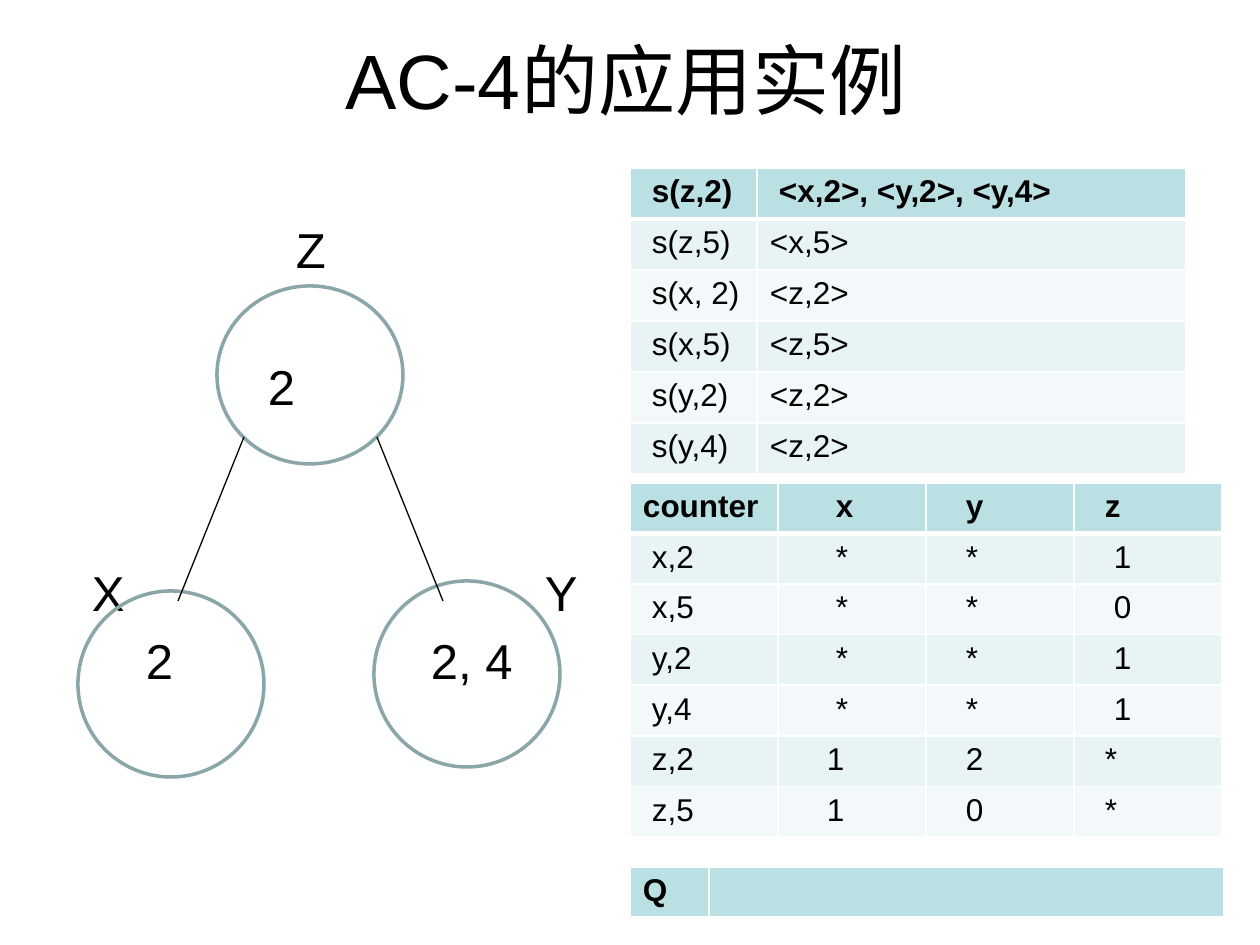
from dataclasses import dataclass

from pptx import Presentation
from pptx.dml.color import RGBColor
from pptx.enum.shapes import MSO_CONNECTOR, MSO_SHAPE
from pptx.enum.text import MSO_ANCHOR, PP_ALIGN
from pptx.oxml.ns import qn
from pptx.util import Emu, Pt
from lxml.etree import SubElement

EMU_PER_PX = 914400 / 126


@dataclass(frozen=True)
class Theme:
    font: str = "Arial"
    title_size: int = 44
    label_size: int = 28
    cell_size: int = 18
    text: str = "000000"
    circle: str = "8AA6A8"
    border: str = "FFFFFF"
    header: str = "BBE0E3"
    bands: tuple[str, str] = ("E7F3F4", "F3F9FA")


@dataclass(frozen=True)
class Label:
    text: str
    x: int
    y: int
    w: int = 100
    h: int = 56


@dataclass(frozen=True)
class Node:
    x: int
    y: int
    w: int
    h: int


@dataclass(frozen=True)
class Edge:
    x1: int
    y1: int
    x2: int
    y2: int


@dataclass(frozen=True)
class Row:
    cells: tuple[str, ...]
    indents: tuple[int, ...]  # in word-space widths


@dataclass(frozen=True)
class Grid:
    x: int
    y: int
    h: int
    cols: tuple[int, ...]
    rows: tuple[Row, ...]


THEME = Theme()
CELL_MARGIN = 13
INDENT_STEP = 9

TITLE = Label("AC-4的应用实例", 59, 0, 1134, 158)
NODES = (Node(217, 286, 186, 178), Node(78, 591, 186, 186), Node(374, 581, 186, 186))
EDGES = (Edge(244, 437, 178, 601), Edge(377, 437, 443, 601))
LABELS = (
    Label("Z", 296, 219), Label("2", 268, 356),
    Label("X", 92, 562), Label("Y", 545, 562),
    Label("2", 146, 630), Label("2, 4", 431, 630),
)

SUPPORTS = (("s(z,5)", "<x,5>"), ("s(x, 2)", "<z,2>"), ("s(x,5)", "<z,5>"),
            ("s(y,2)", "<z,2>"), ("s(y,4)", "<z,2>"))
Z_COUNTS = (("x,2", "1"), ("x,5", "0"), ("y,2", "1"), ("y,4", "1"))
Y_COUNTS = (("z,2", "2"), ("z,5", "0"))
GRIDS = (
    Grid(630, 168, 306, (127, 429), (
        Row(("s(z,2)", "<x,2>, <y,2>, <y,4>"), (1, 1)),
        *(Row(pair, (1, 0)) for pair in SUPPORTS),
    )),
    Grid(630, 483, 354, (148,) * 4, (
        Row(("counter", "x", "y", "z"), (0, 5, 3, 2)),
        *(Row((name, "*", "*", z), (1, 5, 3, 3)) for name, z in Z_COUNTS),
        *(Row((name, "1", y, "*"), (1, 4, 3, 2)) for name, y in Y_COUNTS),
    )),
    Grid(630, 867, 51, (79, 515), (Row(("Q", ""), (0, 0)),)),
)


def px(n: float) -> Emu:
    return Emu(round(n * EMU_PER_PX))


def rgb(color: str) -> RGBColor:
    return RGBColor.from_string(color)


def style_text(tf, size: int, bold: bool = False) -> None:
    for p in tf.paragraphs:
        p.font.size = Pt(size)
        for r in p.runs:
            r.font.name = THEME.font
            r.font.size = Pt(size)
            r.font.bold = bold
            r.font.color.rgb = rgb(THEME.text)


def add_label(s, label: Label, size: int):
    tf = s.shapes.add_textbox(px(label.x), px(label.y), px(label.w), px(label.h)).text_frame
    tf.word_wrap = True
    tf.margin_left = tf.margin_right = tf.margin_top = tf.margin_bottom = 0
    tf.text = label.text
    style_text(tf, size)
    return tf


def add_node(s, node: Node) -> None:
    sp = s.shapes.add_shape(MSO_SHAPE.OVAL, px(node.x), px(node.y), px(node.w), px(node.h))
    sp.shadow.inherit = False
    sp.fill.background()
    sp.line.color.rgb = rgb(THEME.circle)
    sp.line.width = Pt(2)


def add_edge(s, edge: Edge) -> None:
    line = s.shapes.add_connector(MSO_CONNECTOR.STRAIGHT, px(edge.x1), px(edge.y1),
                                  px(edge.x2), px(edge.y2))
    line.line.color.rgb = rgb(THEME.text)
    line.line.width = Pt(0.75)
    SubElement(line._element.spPr, qn("a:effectLst"))


def add_borders(cell, top: int, bottom: int) -> None:
    """Give a cell its borders, which must come before its fill."""
    tc_pr = cell._tc.get_or_add_tcPr()
    for tag, width in (("lnL", 1), ("lnR", 1), ("lnT", top), ("lnB", bottom)):
        ln = SubElement(tc_pr, qn(f"a:{tag}"), w=str(Pt(width)))
        SubElement(SubElement(ln, qn("a:solidFill")), qn("a:srgbClr"), val=THEME.border)


def add_grid(s, grid: Grid) -> None:
    table = s.shapes.add_table(len(grid.rows), len(grid.cols), px(grid.x), px(grid.y),
                               px(sum(grid.cols)), px(grid.h)).table
    for column, width in zip(table.columns, grid.cols):
        column.width = px(width)
    for i, row in enumerate(grid.rows):
        table.rows[i].height = px(grid.h / len(grid.rows))
        is_header = i == 0
        fill = THEME.header if is_header else THEME.bands[(i - 1) % 2]
        for j, (text, indent) in enumerate(zip(row.cells, row.indents)):
            cell = table.cell(i, j)
            add_borders(cell, 3 if i == 1 else 1, 3 if is_header else 1)
            cell.fill.solid()
            cell.fill.fore_color.rgb = rgb(fill)
            cell.margin_left = px(CELL_MARGIN + INDENT_STEP * indent)
            cell.text_frame.text = text
            style_text(cell.text_frame, THEME.cell_size, is_header)


def main() -> None:
    prs = Presentation()
    prs.slide_width, prs.slide_height = px(1260), px(945)
    s = prs.slides.add_slide(prs.slide_layouts[6])

    title = add_label(s, TITLE, THEME.title_size)
    title.vertical_anchor = MSO_ANCHOR.MIDDLE
    title.paragraphs[0].alignment = PP_ALIGN.CENTER
    for label in LABELS:
        add_label(s, label, THEME.label_size)
    for node in NODES:
        add_node(s, node)
    for edge in EDGES:
        add_edge(s, edge)
    for grid in GRIDS:
        add_grid(s, grid)

    prs.save("out.pptx")


if __name__ == "__main__":
    main()
